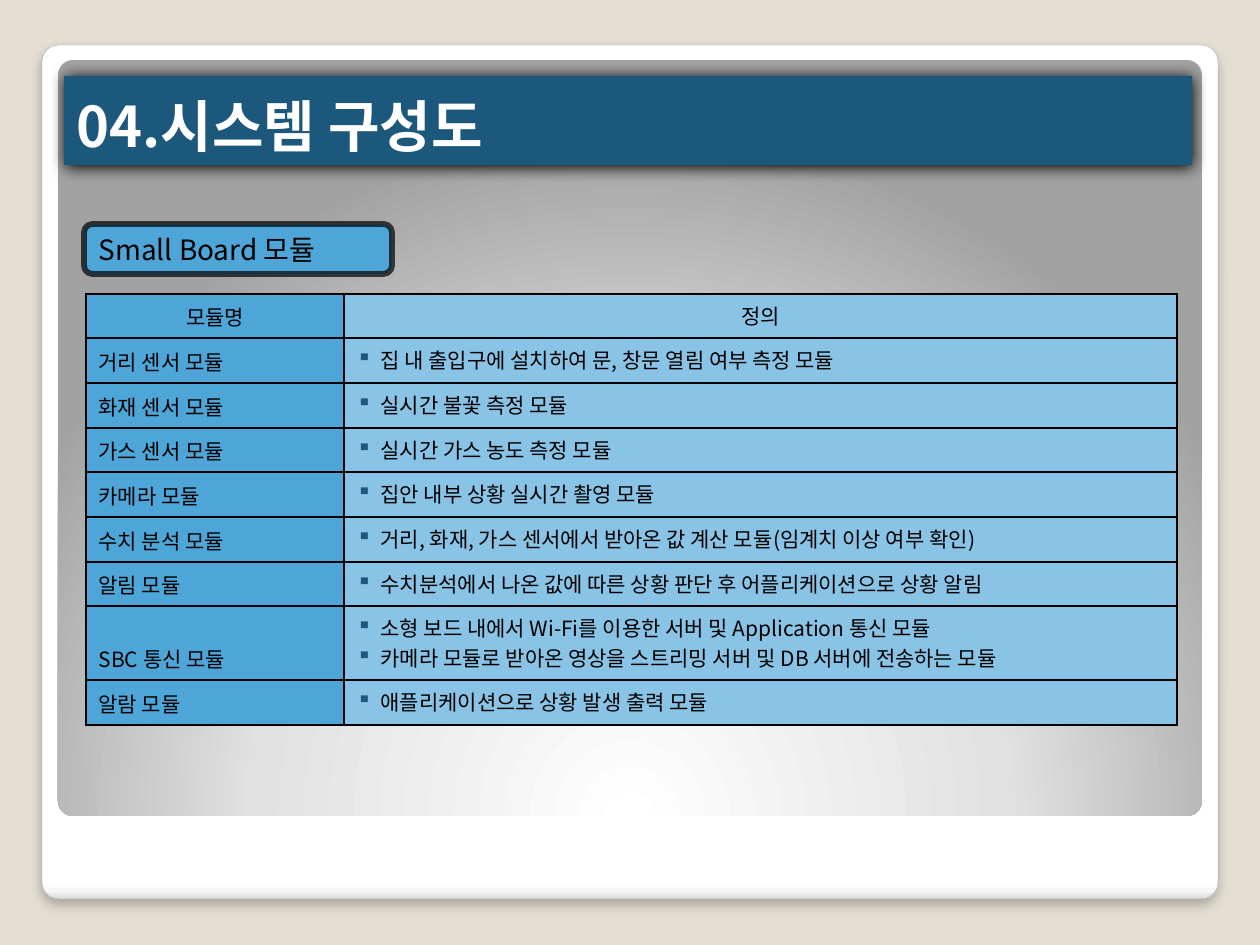
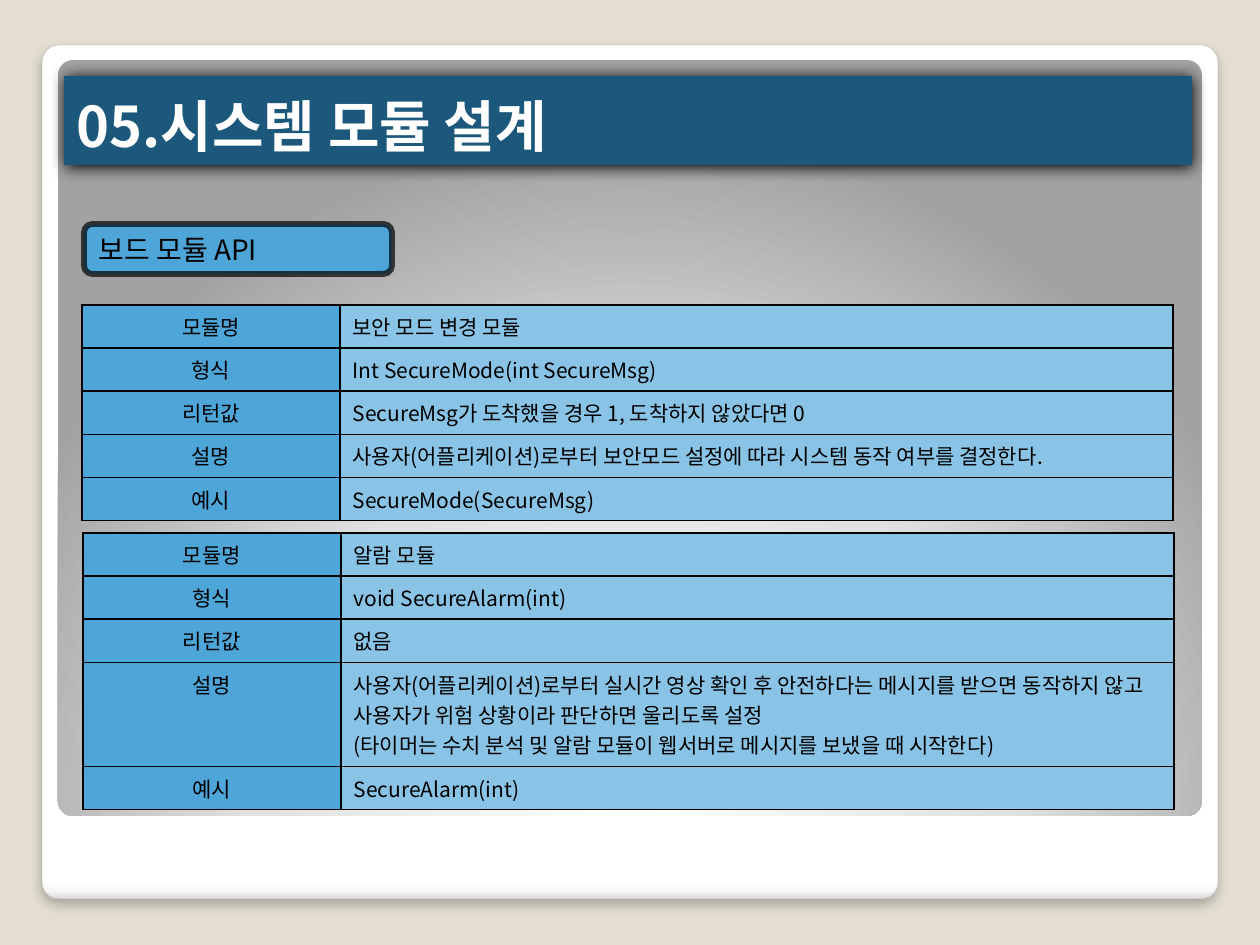
"""Builds two slides on the modules of a home security system."""
from lxml import etree
from pptx import Presentation
from pptx.dml.color import RGBColor
from pptx.enum.shapes import MSO_SHAPE as SHAPE
from pptx.enum.text import MSO_ANCHOR as ANCHOR, PP_ALIGN as ALIGN
from pptx.oxml import parse_xml
from pptx.oxml.ns import qn
from pptx.util import Pt

PX = 914400 / 126
FONT = "Noto Sans CJK KR"
NS = 'xmlns:a="http://schemas.openxmlformats.org/drawingml/2006/main"'
BEIGE = RGBColor(0xE3, 0xDE, 0xD1)
NAVY = RGBColor(0x1B, 0x58, 0x7C)
BLUE = RGBColor(0x4E, 0xA5, 0xD8)
SKY = RGBColor(0x89, 0xC3, 0xE5)
GREY = RGBColor(0xA4, 0xA4, 0xA4)
BLACK = RGBColor(0, 0, 0)
WHITE = RGBColor(0xFF, 0xFF, 0xFF)

CARD_STOPS = [(0, "FFFFFF"), (98, "FFFFFF"), (99, "F7F7F7"), (100, "DADADA")]
PANEL_STOPS = [(0, "FFFFFF"), (55, "E1E1E1"), (100, "A2A2A2")]
LINEAR = '<a:lin ang="5400000" scaled="0"/>'
RADIAL = ('<a:path path="circle"><a:fillToRect l="50000" t="175000" '
          'r="50000" b="-75000"/></a:path>')
COLUMNS = [258, 833]

SLIDES = [
    ("04.시스템 구성도", "Small Board 모듈", [
        (86, 294, [44, 45, 45, 44, 45, 45, 44, 74, 45], True, [
            ("모듈명", "정의"),
            ("거리 센서 모듈", "집 내 출입구에 설치하여 문, 창문 열림 여부 측정 모듈"),
            ("화재 센서 모듈", "실시간 불꽃 측정 모듈"),
            ("가스 센서 모듈", "실시간 가스 농도 측정 모듈"),
            ("카메라 모듈", "집안 내부 상황 실시간 촬영 모듈"),
            ("수치 분석 모듈", "거리, 화재, 가스 센서에서 받아온 값 계산 모듈(임계치 이상 여부 확인)"),
            ("알림 모듈", "수치분석에서 나온 값에 따른 상황 판단 후 어플리케이션으로 상황 알림"),
            ("SBC 통신 모듈", "소형 보드 내에서 Wi-Fi를 이용한 서버 및 Application 통신 모듈\n"
             "카메라 모듈로 받아온 영상을 스트리밍 서버 및 DB 서버에 전송하는 모듈"),
            ("알람 모듈", "애플리케이션으로 상황 발생 출력 모듈"),
        ]),
    ]),
    ("05.시스템 모듈 설계", "보드 모듈 API", [
        (83, 533, [43, 43, 43, 104, 43], False, [
            ("모듈명", "알람 모듈"),
            ("형식", "void SecureAlarm(int)"),
            ("리턴값", "없음"),
            ("설명", "사용자(어플리케이션)로부터 실시간 영상 확인 후 안전하다는 메시지를 받으면 "
             "동작하지 않고 사용자가 위험 상황이라 판단하면 울리도록 설정\n"
             "(타이머는 수치 분석 및 알람 모듈이 웹서버로 메시지를 보냈을 때 시작한다)"),
            ("예시", "SecureAlarm(int)"),
        ]),
        (82, 305, [43] * 5, False, [
            ("모듈명", "보안 모드 변경 모듈"),
            ("형식", "Int SecureMode(int SecureMsg)"),
            ("리턴값", "SecureMsg가 도착했을 경우 1, 도착하지 않았다면 0"),
            ("설명", "사용자(어플리케이션)로부터 보안모드 설정에 따라 시스템 동작 여부를 결정한다."),
            ("예시", "SecureMode(SecureMsg)"),
        ]),
    ]),
]


def write(tf, text, size=12, color=BLACK, bold=False, align=ALIGN.LEFT, bullet=False):
    tf.word_wrap = True
    for i, line in enumerate(text.split("\n")):
        p = tf.add_paragraph() if i else tf.paragraphs[0]
        p.alignment = align
        r = p.add_run()
        r.text = line
        r.font.size, r.font.bold, r.font.name = Pt(size), bold, FONT
        r.font.color.rgb = color
        etree.SubElement(r.font._element, qn("a:ea"), typeface=FONT)
        if bullet:
            pPr = p._p.get_or_add_pPr()
            pPr.set("marL", str(round(24 * PX)))
            pPr.set("indent", str(round(-24 * PX)))
            pPr.append(parse_xml(f'<a:buClr {NS}><a:srgbClr val="{NAVY}"/></a:buClr>'))
            pPr.append(parse_xml(f'<a:buChar {NS} char="▪"/>'))


def box(s, kind, rect, fill, line=None, width=0, shadow=None, radius=None):
    sp = s.shapes.add_shape(kind, *(round(v * PX) for v in rect))
    if radius:
        sp.adjustments[0] = radius
    if isinstance(fill, RGBColor):
        sp.fill.solid()
        sp.fill.fore_color.rgb = fill
    else:
        stops, direction = fill
        gs = "".join(f'<a:gs pos="{pos * 1000}"><a:srgbClr val="{c}"/></a:gs>' for pos, c in stops)
        sp._element.spPr.append(parse_xml(
            f'<a:gradFill {NS} rotWithShape="1"><a:gsLst>{gs}</a:gsLst>{direction}</a:gradFill>'))
    if line is None:
        sp.line.fill.background()
    else:
        sp.line.color.rgb = line
        sp.line.width = Pt(width)
    sp.shadow.inherit = False
    if shadow:
        alpha, blur, dist = shadow
        sp._element.spPr.find(qn("a:effectLst")).append(parse_xml(
            f'<a:outerShdw {NS} blurRad="{Pt(blur)}" dist="{Pt(dist)}" dir="5400000" algn="t" '
            f'rotWithShape="0"><a:srgbClr val="{BLACK}"><a:alpha val="{alpha * 1000}"/>'
            '</a:srgbClr></a:outerShdw>'))
    return sp


prs = Presentation()
prs.slide_width, prs.slide_height = round(1260 * PX), round(945 * PX)
bg = prs.slide_master.background.fill
bg.solid()
bg.fore_color.rgb = BEIGE

for title, label, tables in SLIDES:
    s = prs.slides.add_slide(prs.slide_layouts[6])
    box(s, SHAPE.ROUNDED_RECTANGLE, (42, 45, 1176, 854), (CARD_STOPS, LINEAR),
        line=GREY, width=0.16, shadow=(25, 6, 4), radius=0.02)
    box(s, SHAPE.ROUNDED_RECTANGLE, (58, 60, 1144, 756), (PANEL_STOPS, RADIAL), radius=0.02)
    sp = box(s, SHAPE.RECTANGLE, (64, 76, 1128, 89), NAVY, shadow=(100, 8.5, 1))
    sp.text_frame.vertical_anchor = ANCHOR.BOTTOM
    write(sp.text_frame, title, size=32, color=WHITE, bold=True)

    for left, top, heights, bulleted, rows in tables:
        frame = s.shapes.add_table(len(rows), 2, *(
            round(v * PX) for v in (left, top, sum(COLUMNS), sum(heights))))
        table = frame.table
        table.first_row = table.horz_banding = False
        for col, width in zip(table.columns, COLUMNS):
            col.width = round(width * PX)
        for i, (row, height) in enumerate(zip(rows, heights)):
            table.rows[i].height = round(height * PX)
            for j, text in enumerate(row):
                cell = table.cell(i, j)
                cell.fill.solid()
                cell.fill.fore_color.rgb = (BLUE, SKY)[j]
                centred = i == 0 if bulleted else j == 0
                write(cell.text_frame, text, align=ALIGN.CENTER if centred else ALIGN.LEFT,
                      bullet=bulleted and i > 0 and j == 1)
                if bulleted and j == 0:
                    cell.vertical_anchor = ANCHOR.BOTTOM
                tcPr = cell._tc.get_or_add_tcPr()
                for k, side in enumerate("LRTB"):
                    tcPr.insert(k, parse_xml(
                        f'<a:ln{side} {NS} w="{Pt(1)}"><a:solidFill><a:srgbClr val="{BLACK}"/>'
                        f'</a:solidFill></a:ln{side}>'))

    sp = box(s, SHAPE.ROUNDED_RECTANGLE, (84, 224, 308, 50), BLUE, line=BLACK, width=3.35)
    clr = sp._element.spPr.find(qn("a:ln")).find(".//" + qn("a:srgbClr"))
    etree.SubElement(clr, qn("a:alpha"), val="70000")
    sp.text_frame.vertical_anchor = ANCHOR.MIDDLE
    write(sp.text_frame, label, size=16)

prs.save("out.pptx")
